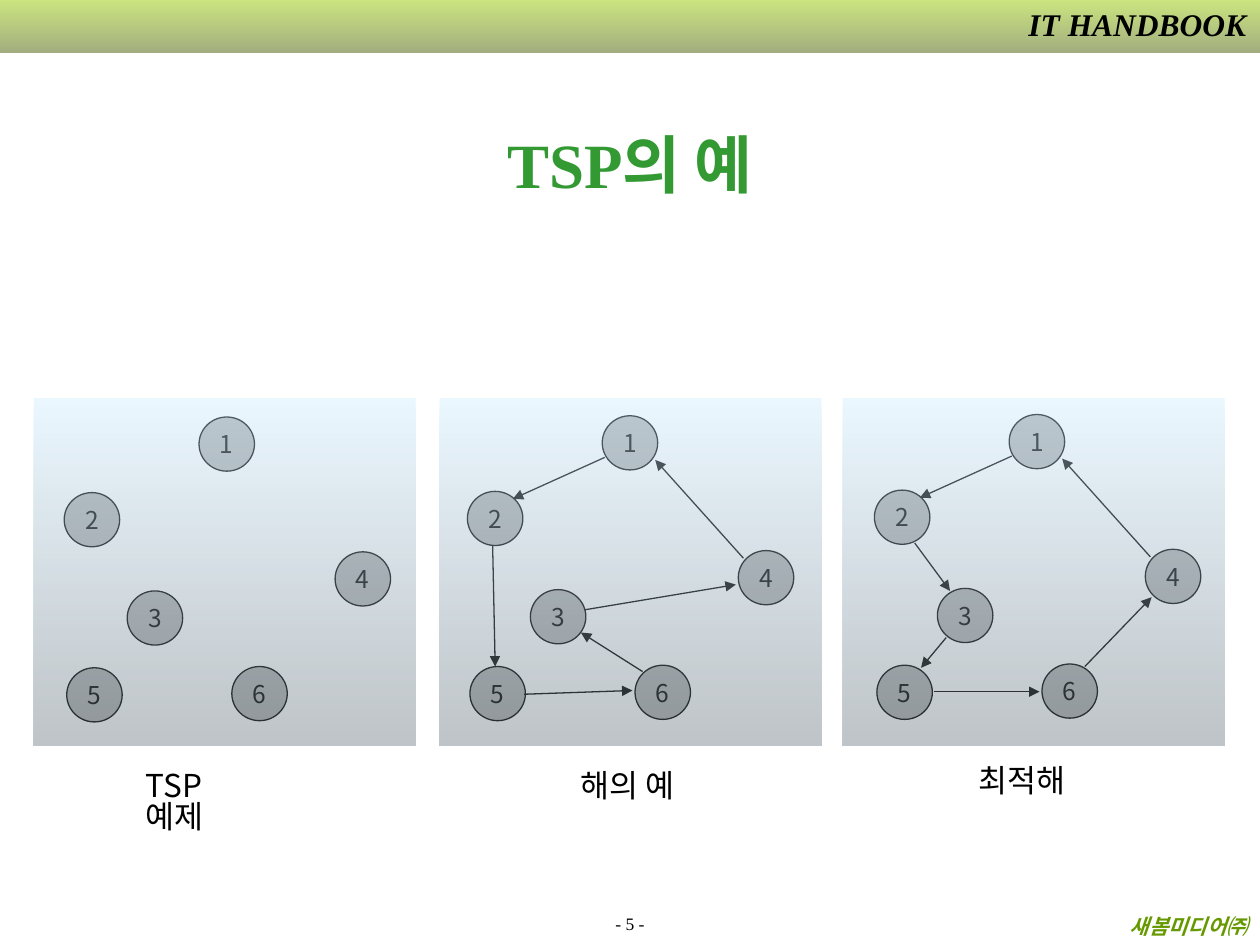
from lxml import etree
from pptx import Presentation
from pptx.dml.color import RGBColor
from pptx.enum.shapes import MSO_CONNECTOR, MSO_SHAPE
from pptx.enum.text import MSO_ANCHOR, PP_ALIGN
from pptx.oxml.ns import qn
from pptx.util import Inches, Pt

RECTANGLE, OVAL = MSO_SHAPE.RECTANGLE, MSO_SHAPE.OVAL
STRAIGHT = MSO_CONNECTOR.STRAIGHT
LEFT, CENTER, RIGHT = PP_ALIGN.LEFT, PP_ALIGN.CENTER, PP_ALIGN.RIGHT
TOP, MIDDLE, BOTTOM = MSO_ANCHOR.TOP, MSO_ANCHOR.MIDDLE, MSO_ANCHOR.BOTTOM
SERIF, SANS = "Times New Roman", "Noto Sans CJK KR"
color = RGBColor.from_string

deck = Presentation()
deck.slide_width, deck.slide_height = Inches(10), Inches(7.5)
COLUMN, ROW = deck.slide_width // 1000, deck.slide_height // 750
page = deck.slides.add_slide(deck.slide_layouts[5])
shapes = page.shapes


def write(box, text, size, font=SERIF, ink="000000", bold=False, italic=False,
          align=LEFT, anchor=TOP, wrap=True, spacing=1.0):
    frame = box.text_frame
    frame.word_wrap = wrap
    frame.vertical_anchor = anchor
    para = frame.paragraphs[0]
    para.alignment = align
    para.line_spacing = spacing
    span = para.add_run()
    span.text = text
    span.font.size = Pt(size)
    span.font.name = font
    span.font.bold, span.font.italic = bold, italic
    span.font.color.rgb = color(ink)
    east_asian = etree.SubElement(span.font._element, qn("a:ea"))
    east_asian.set("typeface", SANS)
    return span


def add_gradient(left, top, width, height, inks, opacity):
    panel = shapes.add_shape(RECTANGLE, left * COLUMN, top * ROW,
                             width * COLUMN, height * ROW)
    panel.shadow.inherit = False
    panel.line.fill.background()
    panel.fill.gradient()
    panel.fill.gradient_angle = 270
    for stop, position, ink in zip(panel.fill.gradient_stops, (0, 1), inks):
        stop.position = position
        stop.color.rgb = color(ink)
    for tint in panel._element.spPr.iter(qn("a:srgbClr")):
        etree.SubElement(tint, qn("a:alpha")).set("val", str(opacity * 1000))


add_gradient(0, 0, 1000, 42, ("99CC00", "465E00"), 50)

page_number = shapes.add_textbox(0, 724 * ROW, 1000 * COLUMN, 22 * ROW)
write(page_number, "- 5 -", 10, align=CENTER, anchor=BOTTOM)
publisher = shapes.add_textbox(6 * COLUMN, 720 * ROW, 994 * COLUMN, 30 * ROW)
write(publisher, "새봄미디어㈜", 12, ink="669900", bold=True, italic=True, align=RIGHT)
series = shapes.add_textbox(788 * COLUMN, -ROW, 211 * COLUMN, 40 * ROW)
series_span = write(series, "IT HANDBOOK", 18, bold=True, italic=True, align=RIGHT)
effects = etree.Element(qn("a:effectLst"))
shadow = etree.SubElement(effects, qn("a:outerShdw"), dist="17961", dir="2700000")
etree.SubElement(shadow, qn("a:srgbClr"), val="FFFFFF")
series_span.font._element.find(qn("a:solidFill")).addnext(effects)

nodes = {1: (158, 331), 2: (51, 391), 3: (101, 469),
         4: (266, 438), 5: (53, 530), 6: (184, 529)}
shared_arrows = [(160, 364, 87, 397), (270, 444, 200, 366)]
sample_arrows = shared_arrows + [
    (71, 434, 73, 530), (96, 552, 182, 549), (190, 534, 141, 503), (144, 485, 264, 465)]
best_arrows = shared_arrows + [
    (83, 433, 111, 471), (108, 508, 88, 532), (98, 551, 182, 551), (218, 531, 271, 476)]
graphs = [
    (27, 0, 0, [], "TSP 예제", (106, 606, 121), 30),
    (349, 320, -1, sample_arrows, "해의 예", (451, 606, 96), 10),
    (669, 643, -2, best_arrows, "최적해", (767, 602, 89), 10),
]

for panel_left, shift, drop, arrows, caption, (left, top, width), inset in graphs:
    for number, (x, y) in nodes.items():
        node = shapes.add_shape(OVAL, (x + shift) * COLUMN, (y + drop) * ROW,
                                44 * COLUMN, 43 * ROW)
        node.shadow.inherit = False
        node.fill.solid()
        node.fill.fore_color.rgb = color("B2B2B2")
        node.line.color.rgb = color("000000")
        node.line.width = Pt(0.75)
        write(node, str(number), 14, font=SANS, align=CENTER, anchor=MIDDLE, wrap=False)

    for x1, y1, x2, y2 in arrows:
        arrow = shapes.add_connector(
            STRAIGHT, (x1 + shift) * COLUMN, (y1 + drop) * ROW,
            (x2 + shift) * COLUMN, (y2 + drop) * ROW)
        arrow.line.color.rgb = color("000000")
        arrow.line.width = Pt(0.75)
        etree.SubElement(arrow.line._get_or_add_ln(), qn("a:tailEnd"), type="triangle")
        etree.SubElement(arrow._element.spPr, qn("a:effectLst"))

    add_gradient(panel_left, 316, 303, 276, ("CCECFF", "5E6C75"), 40)
    label = shapes.add_textbox(left * COLUMN, top * ROW, width * COLUMN, 40 * ROW)
    label.text_frame.margin_top = 8 * ROW
    label.text_frame.margin_right = inset * COLUMN
    write(label, caption, 18, font=SANS, wrap=inset > 10, spacing=0.8)

title = shapes.title
title.left, title.top = 75 * COLUMN, 67 * ROW
title.width, title.height = 850 * COLUMN, 125 * ROW
write(title, "TSP의 예", 36, ink="339933", bold=True, align=CENTER, anchor=MIDDLE)

deck.save("out.pptx")
